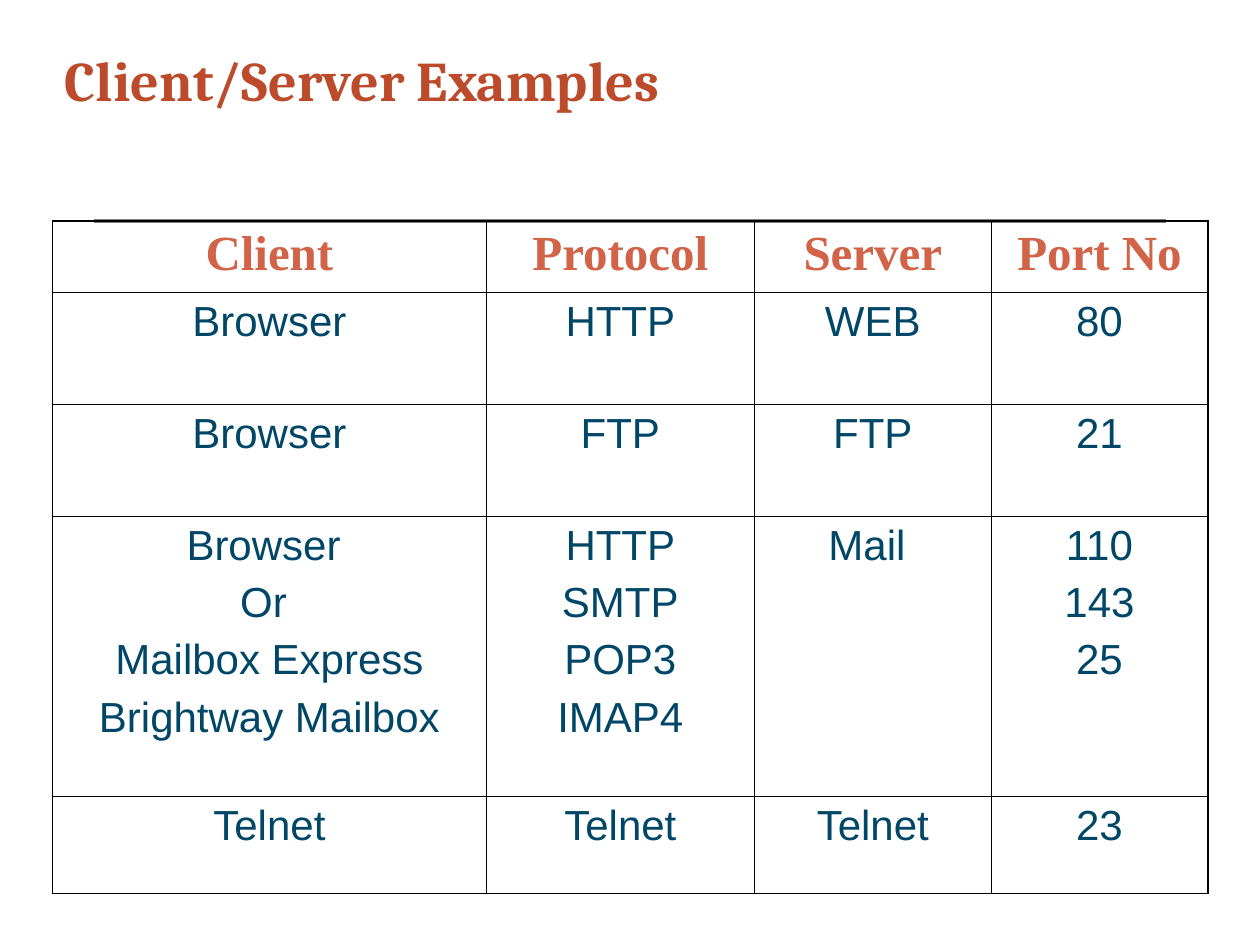
"""Build the Client/Server Examples slide."""
from lxml import etree
from pptx import Presentation
from pptx import util as u
from pptx.dml.color import RGBColor
from pptx.enum import shapes, text
from pptx.oxml.ns import qn

COLORS = {"title": "BC4B2C", "header": "D16349", "body": "004666",
          "rule": "808080", "border": "000000"}
COL_WIDTHS = [8.74, 5.41, 4.77, 4.37]
ROW_HEIGHTS = [1.45, 2.25, 2.25, 5.66, 1.95]
ROWS = [
    ["Client", "Protocol", "Server", "Port No"],
    ["Browser", "HTTP", "WEB", "80"],
    ["Browser", "FTP", "FTP", "21"],
    ["Browser \nOr \nMailbox Express\nBrightway Mailbox",
     "HTTP\nSMTP\nPOP3\nIMAP4", "Mail ", "110\n143\n25"],
    ["Telnet", "Telnet", "Telnet", "23"],
]


def style_run(r, font, size, color, bold):
    r.font.name = font
    r.font.size = u.Pt(size)
    r.font.bold = bold
    r.font.color.rgb = RGBColor.from_string(COLORS[color])


def set_borders(cell, outer_edges):
    tc_pr = cell._tc.get_or_add_tcPr()
    for i, (side, is_outer) in enumerate(zip("LRTB", outer_edges)):
        width = u.Pt(1.08 if is_outer else 0.45)
        ln = etree.Element(qn(f"a:ln{side}"), w=str(int(width)))
        fill = etree.SubElement(ln, qn("a:solidFill"))
        etree.SubElement(fill, qn("a:srgbClr"), val=COLORS["border"])
        tc_pr.insert(i, ln)


prs = Presentation()
prs.slide_width, prs.slide_height = u.Cm(25.4), u.Cm(19.05)
s = prs.slides.add_slide(prs.slide_layouts[6])

rule = s.shapes.add_connector(shapes.MSO_CONNECTOR.STRAIGHT,
                              u.Cm(1.9), u.Cm(4.45), u.Cm(23.5), u.Cm(4.45))
rule.line.color.rgb = RGBColor.from_string(COLORS["rule"])
rule.line.width = u.Pt(2)
etree.SubElement(rule._element.spPr, qn("a:effectLst"))

title = s.shapes.add_textbox(u.Cm(1.06), u.Cm(0.84), u.Cm(23.4), u.Cm(1.52))
tf = title.text_frame
tf.word_wrap = True
tf.vertical_anchor = text.MSO_ANCHOR.MIDDLE
tf.text = "Client/Server Examples"
style_run(tf.paragraphs[0].runs[0], "Cambria", 32, "title", True)

table = s.shapes.add_table(len(ROWS), len(COL_WIDTHS), u.Cm(1.06), u.Cm(4.45),
                           u.Cm(sum(COL_WIDTHS)), u.Cm(sum(ROW_HEIGHTS))).table
table.first_row = False
table.horz_banding = False
for column, width in zip(table.columns, COL_WIDTHS):
    column.width = u.Cm(width)
for row, height in zip(table.rows, ROW_HEIGHTS):
    row.height = u.Cm(height)

last_row, last_col = len(ROWS) - 1, len(COL_WIDTHS) - 1
for i, row in enumerate(ROWS):
    look = ("Times New Roman", 28, "header", True) if i == 0 else ("Arial", 24, "body", False)
    for j, label in enumerate(row):
        cell = table.cell(i, j)
        cell.fill.background()
        set_borders(cell, (j == 0, j == last_col, i == 0, i == last_row))
        cell.text_frame.text = label
        for k, p in enumerate(cell.text_frame.paragraphs):
            p.alignment = text.PP_ALIGN.CENTER
            p.space_before = u.Pt(6 if k else 0)
            style_run(p.runs[0], *look)

prs.save("out.pptx")
